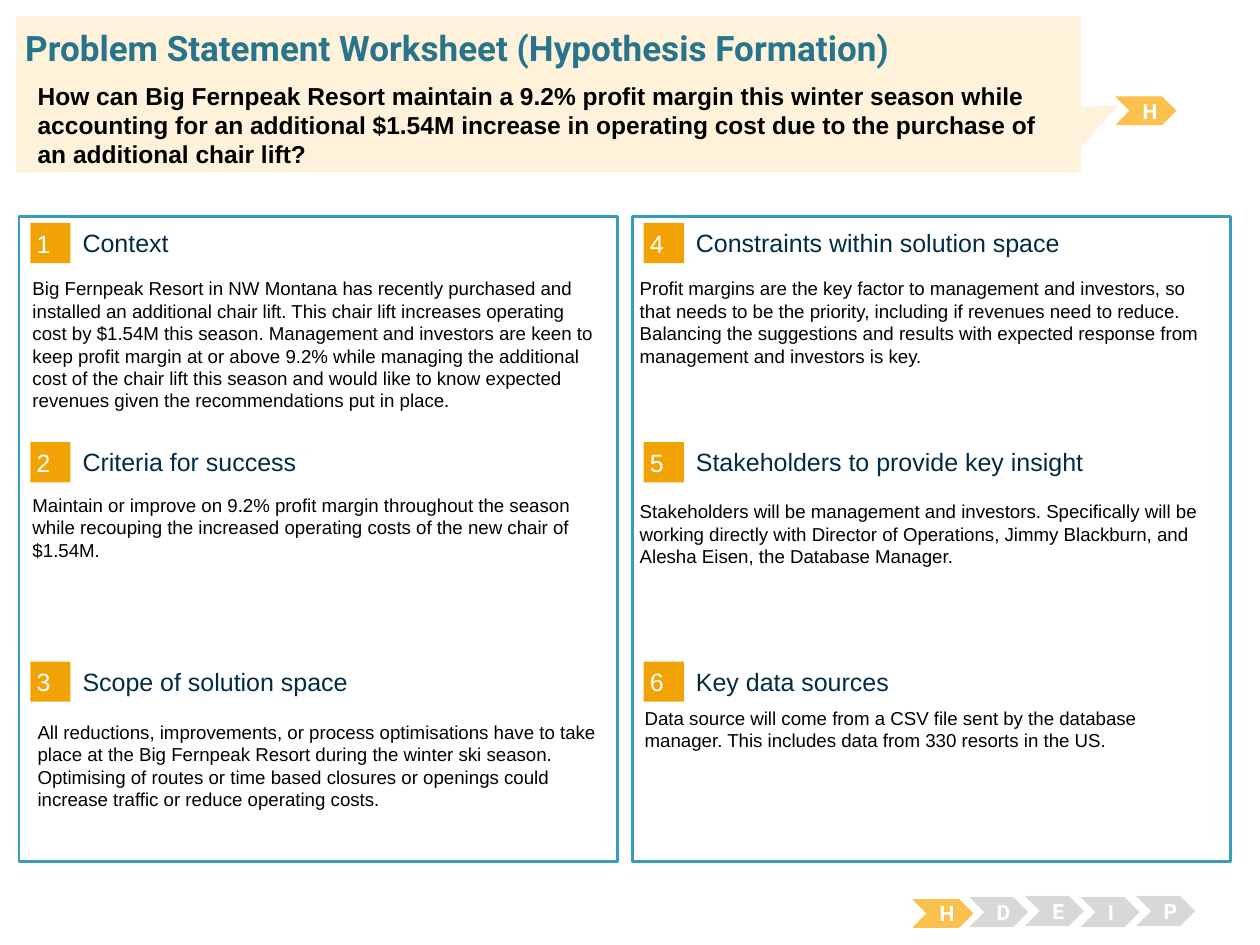
import pptx
import pptx.dml.color
import pptx.enum.shapes
import pptx.enum.text
import pptx.util

Pt = pptx.util.Pt
SHAPE = pptx.enum.shapes.MSO_SHAPE
ALIGN = pptx.enum.text.PP_ALIGN
ANCHOR = pptx.enum.text.MSO_ANCHOR

TITLE = {"name": "Roboto", "size": Pt(20), "bold": True}
QUESTION = {"name": "Arial", "size": Pt(14), "bold": True}
HEADING = {"name": "Arial", "size": Pt(14.3), "bold": False}
BODY = {"name": "Arial", "size": Pt(10.7), "bold": False}
STAGE = {"name": "Roboto", "size": Pt(12), "bold": True}

PANEL_SECTIONS = [
    [
        ("Context", (0.7, 27.4, 98),
         "Big Fernpeak Resort in NW Montana has recently purchased and installed an additional "
         "chair lift. This chair lift increases operating cost by $1.54M this season. Management "
         "and investors are keen to keep profit margin at or above 9.2% while managing the "
         "additional cost of the chair lift this season and would like to know expected revenues "
         "given the recommendations put in place."),
        ("Criteria for success", (0.7, 25.9, 111),
         "Maintain or improve on 9.2% profit margin throughout the season while recouping the "
         "increased operating costs of the new chair of $1.54M."),
        ("Scope of solution space", (3.6, 30.2, 77),
         "All reductions, improvements, or process optimisations have to take place at the Big "
         "Fernpeak Resort during the winter ski season. Optimising of routes or time based "
         "closures or openings could increase traffic or reduce operating costs."),
    ],
    [
        ("Constraints within solution space", (-2.8, 27.4, 85),
         "Profit margins are the key factor to management and investors, so that needs to be the "
         "priority, including if revenues need to reduce. Balancing the suggestions and results "
         "with expected response from management and investors is key."),
        ("Stakeholders to provide key insight", (-2.8, 29.5, 85),
         "Stakeholders will be management and investors. Specifically will be working directly "
         "with Director of Operations, Jimmy Blackburn, and Alesha Eisen, the Database Manager."),
        ("Key data sources", (0, 22.3, 85),
         "Data source will come from a CSV file sent by the database manager. This includes data "
         "from 330 resorts in the US."),
    ],
]
STAGES = [("H", 514.1), ("D", 512.6), ("E", 511.9), ("I", 512.6), ("P", 511.9)]


def colour(hex_code):
    """Turn a hex string into a colour value."""
    return pptx.dml.color.RGBColor.from_string(hex_code)


def write(shape, text, font, hex_code, insets=(7.2, 3.6), anchor=ANCHOR.TOP, align=ALIGN.LEFT):
    """Put one formatted paragraph into a shape."""
    frame = shape.text_frame
    across, down = map(Pt, insets)
    layout = {"word_wrap": True, "auto_size": pptx.enum.text.MSO_AUTO_SIZE.NONE,
              "vertical_anchor": anchor, "margin_left": across, "margin_right": across,
              "margin_top": down, "margin_bottom": down}
    for name, value in layout.items():
        setattr(frame, name, value)
    paragraph = frame.paragraphs[0]
    paragraph.alignment = align
    run = paragraph.add_run()
    run.text = text
    for name, value in font.items():
        setattr(run.font, name, value)
    run.font.color.rgb = colour(hex_code)


def add_block(slide, preset, box, fill, line=None, width=0.75):
    """Draw a filled preset shape in a box."""
    block = slide.shapes.add_shape(preset, *map(Pt, box))
    block.shadow.inherit = False
    block.fill.solid()
    block.fill.fore_color.rgb = colour(fill)
    if line:
        block.line.color.rgb = colour(line)
        block.line.width = Pt(width)
    else:
        block.line.fill.background()
    return block


def add_text(slide, box, *content, **layout):
    """Place a text box."""
    write(slide.shapes.add_textbox(*map(Pt, box)), *content, **layout)


def add_stage(slide, box, letter, active):
    """Draw one lettered chevron of the process."""
    fill = "FBC14E" if active else "D8D8D8"
    chevron = add_block(slide, SHAPE.CHEVRON, box, fill, fill if active else None)
    write(chevron, letter, STAGE, "FFFFFF", anchor=ANCHOR.MIDDLE, align=ALIGN.CENTER)


def add_header(slide, left, top, width, height):
    """Build the callout with the title, the question and its stage."""
    callout = add_block(slide, SHAPE.RECTANGULAR_CALLOUT, (left, top, width, height), "FEF2DA")
    callout.adjustments[0], callout.adjustments[1] = 0.535, 0.066
    title = slide.shapes.title
    place = {"left": left + 5, "top": top + 5.7, "width": 692.6, "height": 24.5}
    for name, value in place.items():
        setattr(title, name, Pt(value))
    write(title, "Problem Statement Worksheet (Hypothesis Formation)", TITLE, "29748D",
          insets=(0, 0), anchor=ANCHOR.MIDDLE)
    callout.element.addnext(title.element)
    add_text(slide, (left + 5, top + 33.1, width - 5, 61.2),
             "How can Big Fernpeak Resort maintain a 9.2% profit margin this winter season while "
             "accounting for an additional $1.54M increase in operating cost due to the purchase "
             "of an additional chair lift?", QUESTION, "000000")
    add_stage(slide, (left + width + 20.2, top + 46, 33.8, 15.8), "H", True)


def add_panel(slide, left, top, width, height, sections, first_number):
    """Build a framed column of numbered sections."""
    add_block(slide, SHAPE.RECTANGLE, (left, top, width, height), "FFFFFF", "379BBD", 1.5)
    for row, (heading, (shift, drop, body_height), body) in enumerate(sections):
        y = top + 3.6 + row * 125.3
        badge = add_block(slide, SHAPE.RECTANGLE, (left + 6.5, y, 23, 23), "F1A205")
        write(badge, str(first_number + row), HEADING, "FFFFFF",
              insets=(3.6, 3.6), anchor=ANCHOR.MIDDLE)
        add_text(slide, (left + 36.4, y + 2.2, 283, 18), heading, HEADING, "002C46",
                 insets=(0, 0), anchor=ANCHOR.MIDDLE)
        add_text(slide, (left + shift, y + drop, 340.6, body_height), body, BODY, "000000")


def add_tracker(slide, left, bottom_stages):
    """Build the row of process stages with the first one active."""
    for index, (letter, top) in enumerate(bottom_stages):
        active = index == 0
        add_stage(slide, (left + index * 31.8, top, 33.8, 15.8 if active else 17.3),
                  letter, active)


def main():
    """Build and save the worksheet slide."""
    deck = pptx.Presentation()
    deck.slide_width, deck.slide_height = Pt(720), Pt(540)
    slide = deck.slides.add_slide(deck.slide_layouts[5])
    for column, sections in enumerate(PANEL_SECTIONS):
        add_panel(slide, 10.8 + column * 350.5, 123.8, 342, 368.6, sections, 1 + column * 3)
    add_tracker(slide, 522, STAGES)
    add_header(slide, 9.4, 9.4, 608.4, 89.3)
    deck.save("out.pptx")


if __name__ == "__main__":
    main()
